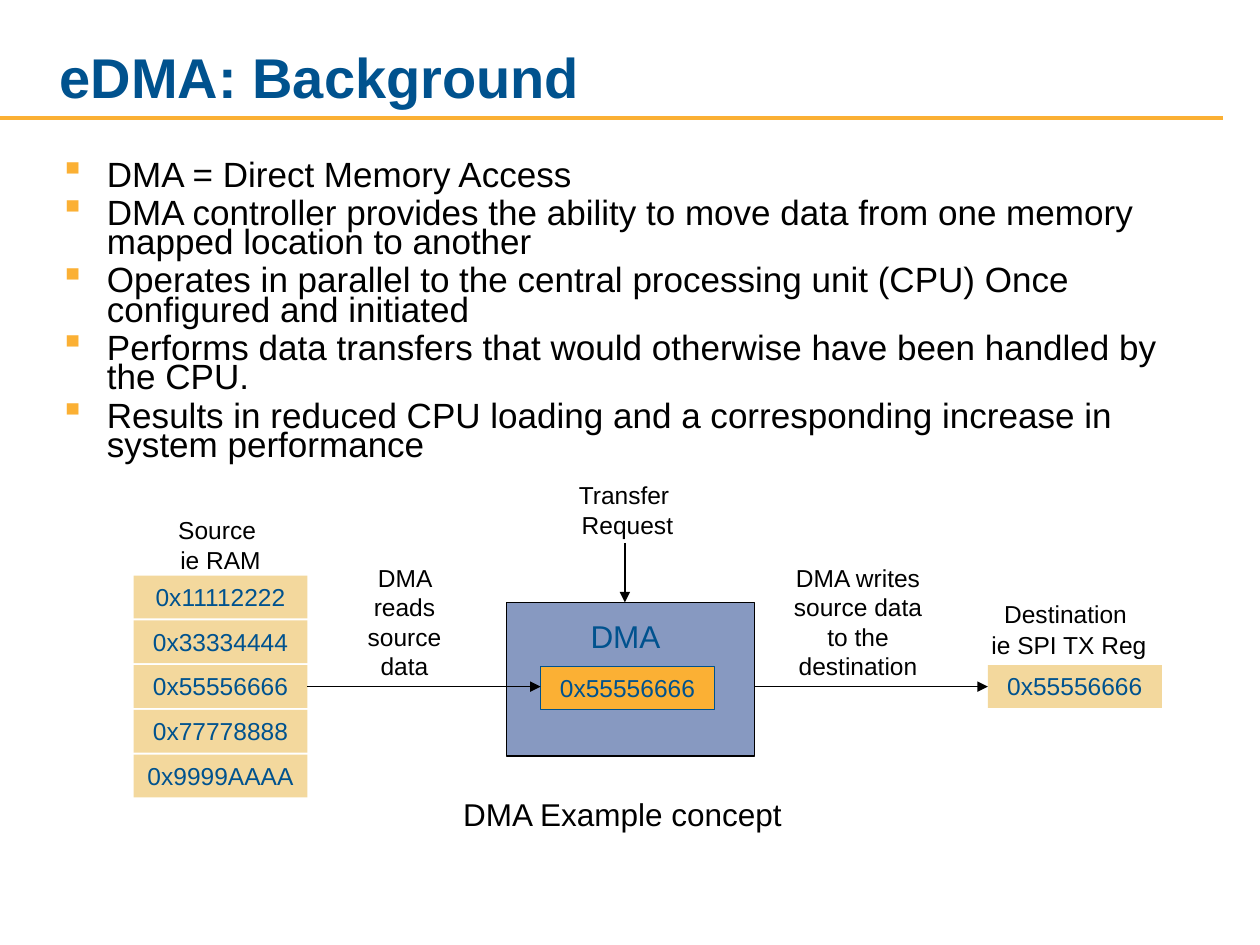
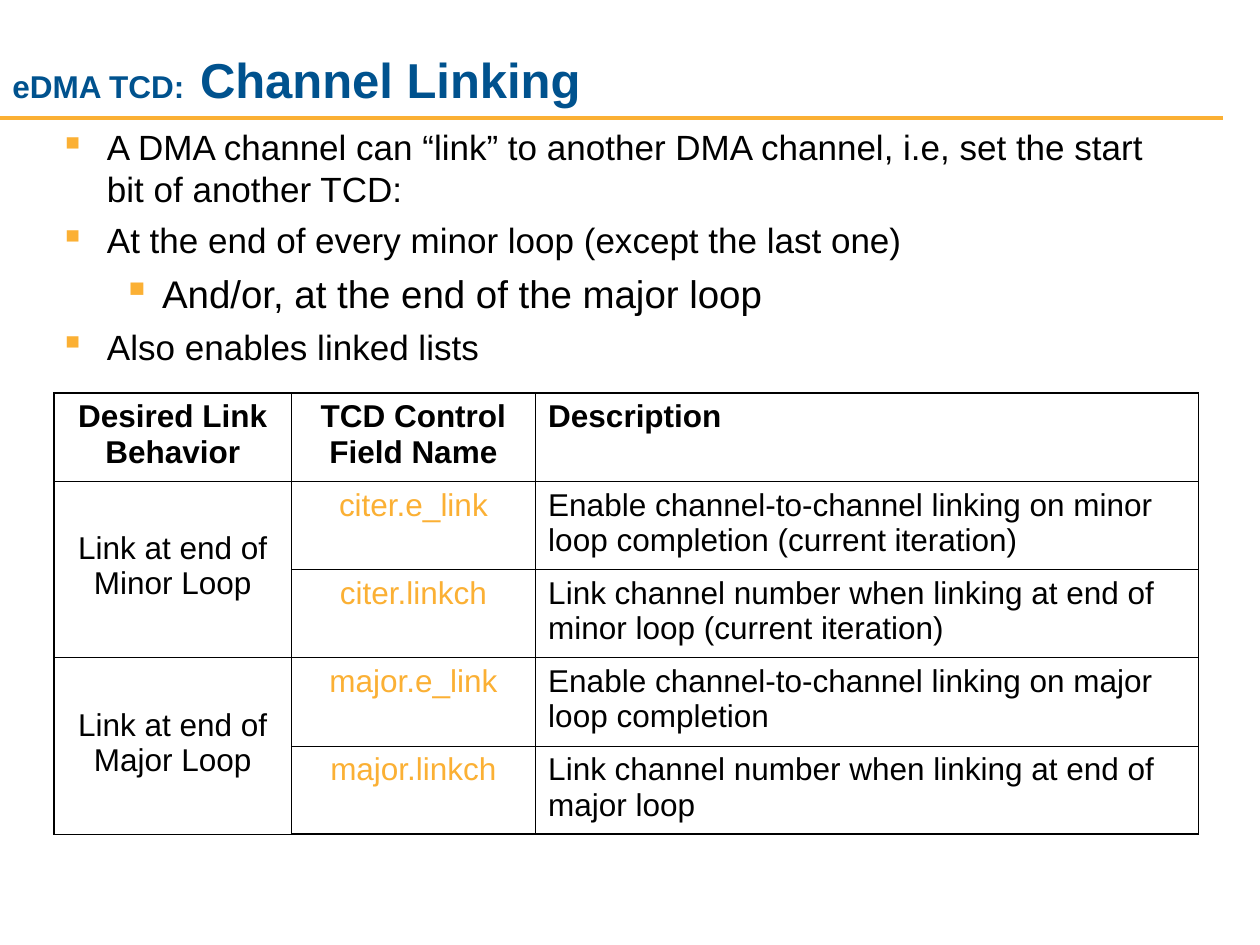
from lxml import etree
from pptx import Presentation
from pptx.dml.color import RGBColor
from pptx.enum import shapes, text
from pptx.oxml import ns
from pptx.util import Pt

FONT = "Arial"
COLORS = {"blue": "00528E", "amber": "FBB034", "sand": "F3D89D",
          "slate": "8799C1", "black": "000000"}
CENTER = text.PP_ALIGN.CENTER

# Each title run: words, size
BACKGROUND_TITLE = [("eDMA: Background", 32)]
LINKING_TITLE = [("eDMA TCD:", 18), (" ", 32), ("Channel Linking", 28)]

# Each bullet: level, words
BACKGROUND_BULLETS = [
    (0, "DMA = Direct Memory Access"),
    (0, "DMA controller provides the ability to move data from one memory mapped location to another"),
    (0, "Operates in parallel to the central processing unit (CPU) Once configured and initiated"),
    (0, "Performs data transfers that would otherwise have been handled by the CPU."),
    (0, "Results in reduced CPU loading and a corresponding increase in system performance"),
]
LINKING_BULLETS = [
    (0, "A DMA channel can “link” to another DMA channel, i.e, set the start bit of another TCD:"),
    (0, "At the end of every minor loop (except the last one)"),
    (1, "And/or, at the end of the major loop"),
    (0, "Also enables linked lists"),
]
# Size, left margin, hanging indent, space before
BULLET_LEVELS = [(20, 27, 27, 5), (22, 58.5, 22.5, 5.5)]

SOURCE_WORDS = ["0x11112222", "0x33334444", "0x55556666", "0x77778888", "0x9999AAAA"]
MOVED = 2  # index of the source word being transferred

# Each label: words, box, size, colour, line spacing
DIAGRAM_LABELS = [
    ("Source \nie RAM", (70.6, 298, 110.9, 33.1), 14, "black", 0.5),
    ("Transfer \nRequest", (303.1, 278, 110.9, 33.1), 14, "black", 0.5),
    ("Destination \nie SPI TX Reg", (555.8, 346.3, 110.2, 33.1), 14, "black", 0.5),
    ("DMA reads source data", (193, 318.2, 76.3, 74.9), 14, "black", None),
    ("DMA writes source data to the destination", (445, 318.2, 90.7, 74.9), 14, "black", None),
    ("DMA", (303.8, 349.2, 107.3, 28.8), 18, "blue", None),
    ("DMA Example concept", (212.4, 450.7, 286.6, 28.8), 18, "black", None),
]

LINK_HEADER = ["Desired Link Behavior", "TCD Control Field Name", "Description"]
LINK_GROUPS = [
    ("Link at end of Minor Loop", [
        ("citer.e_link", "Enable channel-to-channel linking on minor loop completion (current iteration)"),
        ("citer.linkch", "Link channel number when linking at end of minor loop (current iteration)"),
    ]),
    ("Link at end of Major Loop", [
        ("major.e_link", "Enable channel-to-channel linking on major loop completion"),
        ("major.linkch", "Link channel number when linking at end of major loop"),
    ]),
]
LINK_COLUMNS = [135.4, 139.7, 378.7]
LINK_ROW_HEIGHT = 50.4


def rgb(name):
    return RGBColor.from_string(COLORS[name])


def points(*lengths):
    return [Pt(length) for length in lengths]


def style(font, size, color, bold=False):
    font.name, font.size, font.bold = FONT, Pt(size), bold
    font.color.rgb = rgb(color)


def write(frame, words, size, color, spacing=None):
    """Fill a frame with centred lines, one paragraph each."""
    frame.word_wrap = True
    frame.text = words
    for i, line in enumerate(frame.paragraphs):
        line.alignment = CENTER
        if spacing:
            line.line_spacing = spacing
        if i:
            line.space_before = Pt(8.8)
        style(line.font, size, color)


def add_rule(slide, start, end, color="black", width=0.75, arrow=True):
    rule = slide.shapes.add_connector(shapes.MSO_CONNECTOR.STRAIGHT, *points(*start, *end))
    rule.line.color.rgb = rgb(color)
    rule.line.width = Pt(width)
    if arrow:
        etree.SubElement(rule.line._get_or_add_ln(), ns.qn("a:tailEnd"), type="triangle")
    etree.SubElement(rule._element.spPr, ns.qn("a:effectLst"))


def add_block(slide, box, fill, outline=None, words=None):
    block = slide.shapes.add_shape(shapes.MSO_SHAPE.RECTANGLE, *points(*box))
    block.shadow.inherit = False
    block.fill.solid()
    block.fill.fore_color.rgb = rgb(fill)
    if outline:
        block.line.color.rgb = rgb(outline)
        block.line.width = Pt(0.75)
    else:
        block.line.fill.background()
    if words:
        block.text_frame.vertical_anchor = text.MSO_ANCHOR.TOP
        write(block.text_frame, words, 14, "blue")


def add_titled_slide(deck, title, left):
    slide = deck.slides.add_slide(deck.slide_layouts[6])
    add_rule(slide, (0, 67.7), (699, 67.7), "amber", 2.25, arrow=False)
    frame = slide.shapes.add_textbox(*points(left, 12.2, 615.6 - left, 54)).text_frame
    frame.word_wrap = True
    frame.vertical_anchor = text.MSO_ANCHOR.BOTTOM
    for words, size in title:
        run = frame.paragraphs[0].add_run()
        run.text = words
        style(run.font, size, "blue", bold=True)
    return slide


def add_bullets(slide, bullets, top, height, spacing=None):
    frame = slide.shapes.add_textbox(*points(27, top, 653.8, height)).text_frame
    frame.word_wrap = True
    frame.text = "\n".join(words for _, words in bullets)
    for i, (line, (level, _)) in enumerate(zip(frame.paragraphs, bullets)):
        size, margin, hanging, before = BULLET_LEVELS[level]
        line.level = level
        if spacing:
            line.line_spacing = spacing
        if i:
            line.space_before = Pt(before)
        props = line._p.get_or_add_pPr()
        props.set("marL", str(Pt(margin)))
        props.set("indent", str(-Pt(hanging)))
        tint = etree.SubElement(props, ns.qn("a:buClr"))
        etree.SubElement(tint, ns.qn("a:srgbClr"), val=COLORS["amber"])
        etree.SubElement(props, ns.qn("a:buChar"), char="▪")
        style(line.font, size, "black")


def add_dma_diagram(slide):
    word_w, word_h, pitch = 99.4, 24.5, 25.55
    source_x, source_y = 76.3, 329
    dma_x, dma_y, dma_w, dma_h = 289.4, 344.2, 141.8, 87.8
    buffer_x, destination_x = 308.9, 564.5
    moved_y = source_y + MOVED * pitch
    flow_y = moved_y + word_h / 2
    moved = SOURCE_WORDS[MOVED]

    add_block(slide, (dma_x, dma_y, dma_w, dma_h), "slate", "black")
    for i, word in enumerate(SOURCE_WORDS):
        add_block(slide, (source_x, source_y + i * pitch, word_w, word_h), "sand", words=word)
    add_block(slide, (buffer_x, moved_y + 0.8, word_w, word_h), "amber", "blue", moved)
    add_block(slide, (destination_x, moved_y, word_w, word_h), "sand", words=moved)

    add_rule(slide, (source_x + word_w, flow_y), (buffer_x, flow_y))
    add_rule(slide, (dma_x + dma_w, flow_y), (destination_x, flow_y))
    add_rule(slide, (357.1, 310.3), (357.1, dma_y))
    for words, box, size, color, spacing in DIAGRAM_LABELS:
        label = slide.shapes.add_textbox(*points(*box))
        write(label.text_frame, words, size, color, spacing)


def set_borders(cell, outer_sides):
    props = cell._tc.get_or_add_tcPr()
    for i, side in enumerate("LRTB"):
        width = Pt(1.08 if side in outer_sides else 0.45)
        line = etree.Element(ns.qn(f"a:ln{side}"), w=str(width))
        fill = etree.SubElement(line, ns.qn("a:solidFill"))
        etree.SubElement(fill, ns.qn("a:srgbClr"), val=COLORS["black"])
        props.insert(i, line)


def add_link_table(slide):
    rows = [LINK_HEADER]
    for behavior, fields in LINK_GROUPS:
        rows += [(behavior if i == 0 else "", *field) for i, field in enumerate(fields)]
    last_row, last_col = len(rows) - 1, len(LINK_COLUMNS) - 1
    box = points(31, 224.6, sum(LINK_COLUMNS), LINK_ROW_HEIGHT * len(rows))
    table = slide.shapes.add_table(len(rows), len(LINK_COLUMNS), *box).table
    table.first_row = table.horz_banding = False
    for column, width in zip(table.columns, LINK_COLUMNS):
        column.width = Pt(width)

    for r, row in enumerate(rows):
        for c, words in enumerate(row):
            cell = table.cell(r, c)
            cell.fill.background()
            sides = {"L": c == 0, "R": c == last_col, "T": r == 0, "B": r == last_row}
            set_borders(cell, [side for side, outer in sides.items() if outer])
            cell.text_frame.text = words
            line = cell.text_frame.paragraphs[0]
            if c < last_col:
                line.alignment = CENTER
            style(line.font, 18, "amber" if r and c == 1 else "black", bold=r == 0)

    top = 1
    for _, fields in LINK_GROUPS:
        behavior = table.cell(top, 0)
        behavior.merge(table.cell(top + len(fields) - 1, 0))
        behavior.vertical_anchor = text.MSO_ANCHOR.MIDDLE
        behavior.margin_bottom = Pt(7.2)
        top += len(fields)


def main():
    deck = Presentation()
    deck.slide_width, deck.slide_height = points(720, 540)

    background = add_titled_slide(deck, BACKGROUND_TITLE, 27)
    add_bullets(background, BACKGROUND_BULLETS, 90, 188.6, spacing=0.7)
    add_dma_diagram(background)

    linking = add_titled_slide(deck, LINKING_TITLE, 0)
    add_bullets(linking, LINKING_BULLETS, 68.4, 147.6)
    add_link_table(linking)

    deck.save("out.pptx")


if __name__ == "__main__":
    main()
